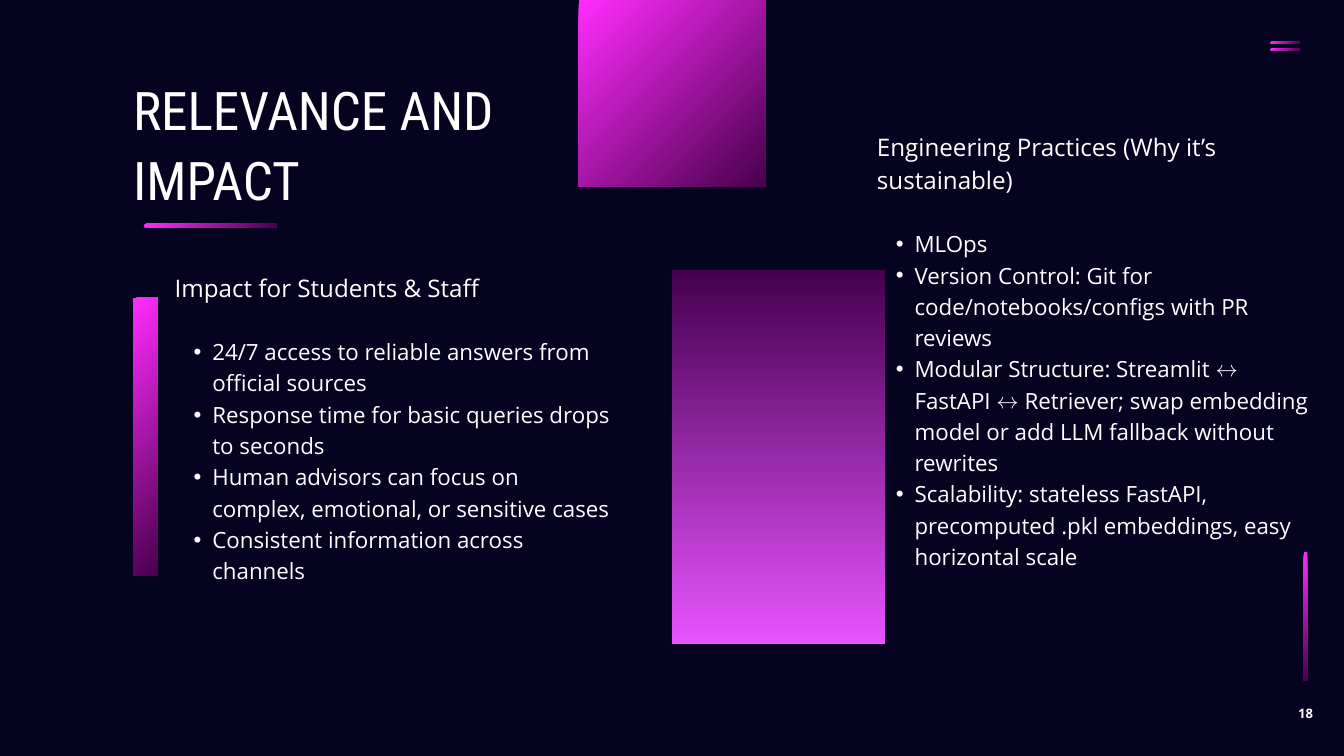
from lxml.etree import SubElement
from pptx import Presentation
from pptx.dml.color import RGBColor
from pptx.enum.shapes import MSO_SHAPE
from pptx.enum.text import MSO_AUTO_SIZE, PP_ALIGN
from pptx.oxml.ns import qn
from pptx.util import Inches, Pt

HUES = {"night": "060320", "pink": "FF2CFD", "plum": "49004D",
        "grape": "450050", "orchid": "E753FE", "white": "FFFFFF"}
BODY = "Open Sans"
TITLE = "Roboto Condensed"

STAFF = ("Impact for Students & Staff", [
    "24/7 access to reliable answers from official sources",
    "Response time for basic queries drops to seconds",
    "Human advisors can focus on complex, emotional, or sensitive cases",
    "Consistent information across channels"])
CRAFT = ("Engineering Practices (Why it’s sustainable)", [
    "MLOps",
    "Version Control: Git for code/notebooks/configs with PR reviews",
    "Modular Structure: Streamlit ↔ FastAPI ↔ Retriever; swap embedding model "
    "or add LLM fallback without rewrites",
    "Scalability: stateless FastAPI, precomputed .pkl embeddings, easy horizontal scale"])


def hue(name):
    """Return the named colour."""
    return RGBColor.from_string(HUES[name])


def block(slide, box, ends=("pink", "plum"), angle=45):
    """Draw a rectangle with a two-stop gradient, angle clockwise."""
    shape = slide.shapes.add_shape(MSO_SHAPE.RECTANGLE, *map(Inches, box))
    shape.shadow.inherit = False
    shape.line.fill.background()
    shape.fill.gradient()
    shape.fill.gradient_angle = 360 - angle
    for stop, name in zip(shape.fill.gradient_stops, ends):
        stop.color.rgb = hue(name)


def frame(slide, box):
    """Add a wrapping text box without margins and return its frame."""
    text = slide.shapes.add_textbox(*map(Inches, box)).text_frame
    text.margin_left = text.margin_right = text.margin_top = text.margin_bottom = 0
    text.word_wrap = True
    text.auto_size = MSO_AUTO_SIZE.SHAPE_TO_FIT_TEXT
    return text


def style(para, size, lead, font=BODY, bold=False):
    """Set line height and font of a paragraph."""
    para.line_spacing = Pt(lead)
    for run in para.runs:
        run.font.size = Pt(size)
        run.font.name = font
        run.font.bold = bold
        run.font.color.rgb = hue("white")


def bullet(para):
    """Give a paragraph a hanging bullet."""
    para.level = 1
    props = para._p.get_or_add_pPr()
    props.set("marL", str(Inches(0.56)))
    props.set("indent", str(Inches(-0.28)))
    SubElement(props, qn("a:buFont"), typeface="Arial")
    SubElement(props, qn("a:buChar"), char="•")


def title(slide, box):
    """Place the title and the rule under it."""
    left, top, width, height = box
    text = frame(slide, box)
    text.text = "RELEVANCE AND IMPACT"
    style(text.paragraphs[0], 57, 75.2, TITLE)
    block(slide, (left + 0.17, top + 2.28, 1.97, 0.05))


def points(slide, box, topic, items):
    """Place a topic line with its bulleted list."""
    text = frame(slide, box)
    text.text = topic
    style(text.paragraphs[0], 25.9, 36.3)
    for index, item in enumerate(items):
        para = text.add_paragraph()
        para.text = item
        bullet(para)
        style(para, 23.9, 33.5)
        if index == 0:
            para.space_before = Pt(33.5)


def menu(slide, box):
    """Place the two bars of the menu mark."""
    left, top, width, height = box
    thick = 0.03
    for y in (top, top + height - thick):
        block(slide, (left, y, width, thick))


def corner(slide, box):
    """Place the side bar and the page number below it."""
    left, top, width, height = box
    block(slide, (left + 0.27, top, 0.05, 1.9))
    text = frame(slide, (left, top + height - 0.26, width, 0.26))
    text.text = "18"
    text.paragraphs[0].alignment = PP_ALIGN.CENTER
    style(text.paragraphs[0], 14, 19.6, bold=True)


def main():
    """Build and save the slide."""
    deck = Presentation()
    deck.slide_width, deck.slide_height = Inches(20), Inches(11.25)
    slide = deck.slides.add_slide(deck.slide_layouts[6])
    slide.background.fill.solid()
    slide.background.fill.fore_color.rgb = hue("night")
    menu(slide, (18.91, 0.62, 0.43, 0.13))
    block(slide, (8.61, 0, 2.78, 2.78))
    block(slide, (10, 4.02, 3.17, 5.56), ("grape", "orchid"), 90)
    corner(slide, (19.13, 8.22, 0.6, 2.5))
    title(slide, (1.98, 1.05, 6.31, 2.06))
    block(slide, (1.98, 4.43, 0.37, 4.13))
    points(slide, (2.6, 4, 6.48, 5.53), *STAFF)
    points(slide, (13.05, 1.89, 6.48, 7), *CRAFT)
    deck.save("out.pptx")


if __name__ == "__main__":
    main()
